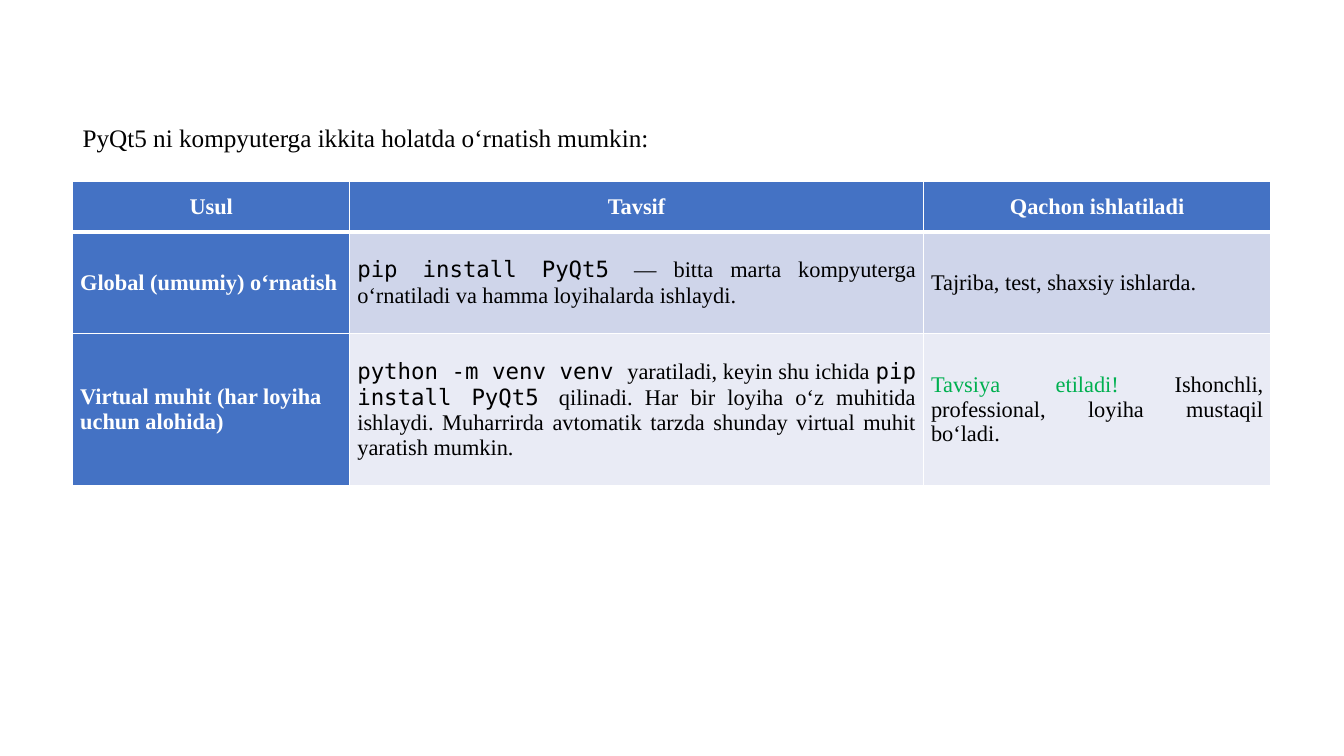
from lxml.etree import SubElement
from pptx import Presentation
from pptx.dml.color import RGBColor
from pptx.enum.text import MSO_ANCHOR, MSO_AUTO_SIZE, PP_ALIGN
from pptx.oxml.ns import qn
from pptx.util import Inches, Pt

COLS, ROWS = 160, 90
BLUE, WHITE, BLACK, GREEN = "4472C4", "FFFFFF", "000000", "00B050"
BANDS = "CFD5EA", "E9EBF5"
SERIF, MONO = "Times New Roman", "DejaVu Sans Mono"


def tint(code):
    return RGBColor.from_string(code)


def write(para, text, size=16, font=SERIF, color=BLACK, bold=False):
    run = para.add_run()
    run.text = text
    style = run.font
    style.size, style.name, style.bold = Pt(size), font, bold
    style.color.rgb = tint(color)


def edge(cell, side, width):
    """Draw a white border on one side (L, R, T or B) of a cell."""
    line = SubElement(cell._tc.get_or_add_tcPr(), qn(f"a:ln{side}"), w=str(Pt(width)))
    fill = SubElement(line, qn("a:solidFill"))
    SubElement(fill, qn("a:srgbClr"), val=WHITE)


class Deck:
    def __init__(self):
        self.show = Presentation()
        self.show.slide_width = Inches(13.333)
        self.show.slide_height = Inches(7.5)
        self.slide = self.show.slides.add_slide(self.show.slide_layouts[6])

    def wide(self, cols):
        return round(self.show.slide_width * cols / COLS)

    def high(self, rows):
        return round(self.show.slide_height * rows / ROWS)

    def label(self, left, top, width, height, text, **form):
        box = self.slide.shapes.add_textbox(
            self.wide(left), self.high(top), self.wide(width), self.high(height))
        frame = box.text_frame
        frame.word_wrap = False
        frame.auto_size = MSO_AUTO_SIZE.SHAPE_TO_FIT_TEXT
        frame.vertical_anchor = MSO_ANCHOR.MIDDLE
        frame.margin_top, frame.margin_bottom = Inches(0.03), 0
        write(frame.paragraphs[0], text, **form)

    def cell(self, cell, runs, fill, align, base):
        """Fill a cell with (text, format) runs above a border base points wide."""
        cell.margin_left = cell.margin_right = Pt(5.4)
        cell.margin_top = cell.margin_bottom = 0
        cell.vertical_anchor = MSO_ANCHOR.MIDDLE
        para = cell.text_frame.paragraphs[0]
        para.alignment = align
        for text, form in runs:
            write(para, text, **form)
        for side in "LRT":
            edge(cell, side, 1)
        edge(cell, "B", base)
        cell.fill.solid()
        cell.fill.fore_color.rgb = tint(fill)

    def table(self, left, top, widths, heights, data):
        """Add a table whose first row and first column are headings."""
        grid = self.slide.shapes.add_table(
            len(heights), len(widths), self.wide(left), self.high(top),
            self.wide(sum(widths)), self.high(sum(heights))).table
        for col, width in zip(grid.columns, widths):
            col.width = self.wide(width)
        for r, (height, line) in enumerate(zip(heights, data)):
            grid.rows[r].height = self.high(height)
            for c, runs in enumerate(line):
                if r == 0:
                    fill, align = BLUE, PP_ALIGN.CENTER
                elif c == 0:
                    fill, align = BLUE, PP_ALIGN.LEFT
                else:
                    fill, align = BANDS[(r - 1) % 2], PP_ALIGN.JUSTIFY
                self.cell(grid.cell(r, c), runs, fill, align, 3 if r == 0 else 1)


def head(text):
    return [(text, dict(color=WHITE, bold=True))]


def main():
    plain, code = {}, dict(font=MONO)
    data = [
        [head("Usul"), head("Tavsif"), head("Qachon ishlatiladi")],
        [head("Global (umumiy) o‘rnatish"),
         [("pip install PyQt5 ", code),
          ("— bitta marta kompyuterga o‘rnatiladi va hamma loyihalarda ishlaydi.", plain)],
         [("Tajriba, test, shaxsiy ishlarda.", plain)]],
        [head("Virtual muhit (har loyiha uchun alohida)"),
         [("python -m venv venv ", code),
          ("yaratiladi, keyin shu ichida ", plain),
          ("pip install PyQt5 ", code),
          ("qilinadi. Har bir loyiha o‘z muhitida ishlaydi. Muharrirda avtomatik "
           "tarzda shunday virtual muhit yaratish mumkin.", plain)],
         [("Tavsiya etiladi! ", dict(color=GREEN)),
          ("Ishonchli, professional, loyiha mustaqil bo‘ladi.", plain)]],
    ]
    deck = Deck()
    left = 8.65
    deck.table(left, 21.6, [33, 68.3, 41.35], [6, 12.1, 18.1], data)
    deck.label(left, 14.15, 70.6, 4,
               "PyQt5 ni kompyuterga ikkita holatda o‘rnatish mumkin:", size=18)
    deck.show.save("out.pptx")


if __name__ == "__main__":
    main()
